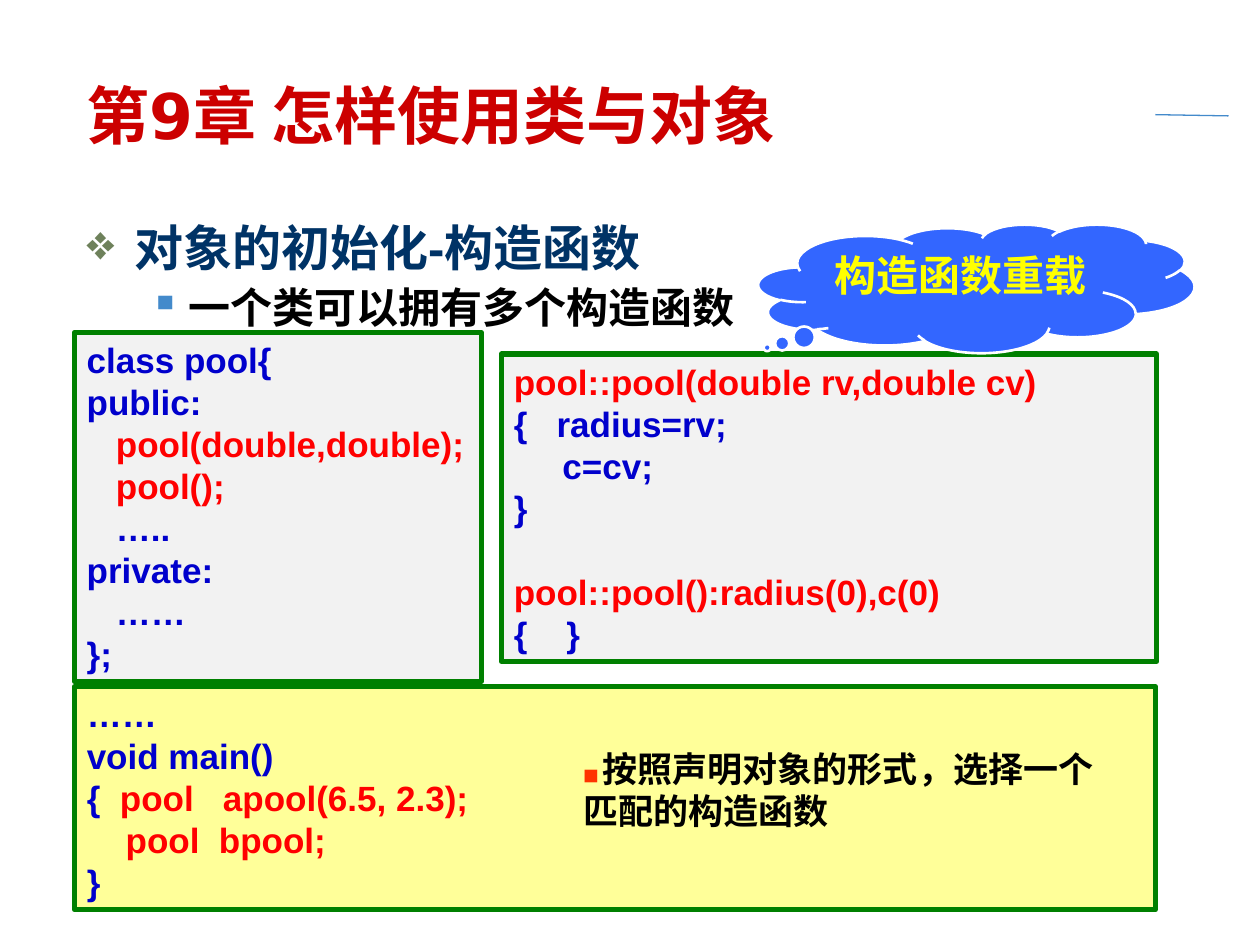
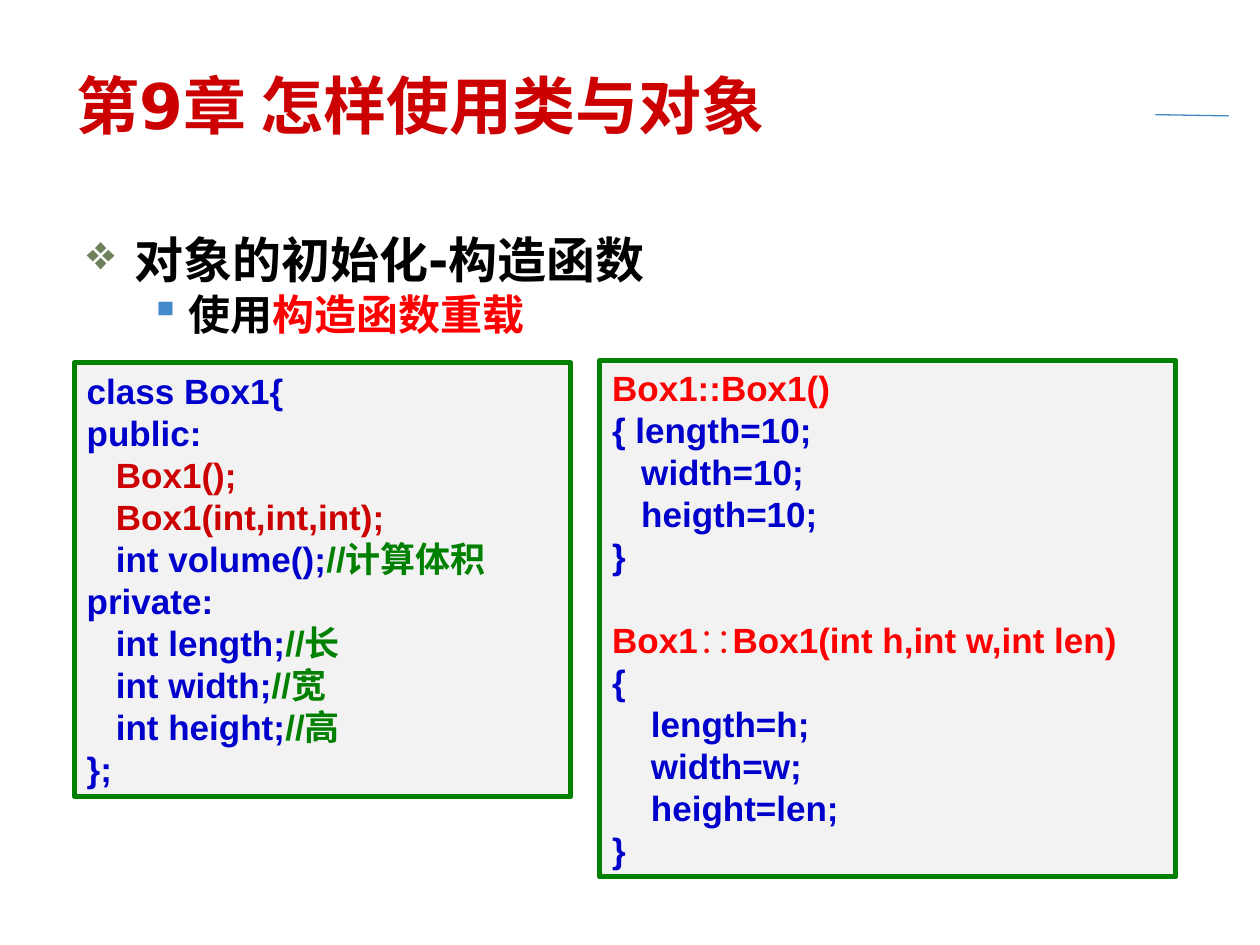
from dataclasses import dataclass

from lxml import etree
from pptx import Presentation
from pptx import util as u
from pptx.dml.color import RGBColor
from pptx.enum import shapes, text
from pptx.oxml.ns import qn


@dataclass(frozen=True)
class Theme:
    sans: str = "Arial"
    head: str = "DejaVu Sans"
    red: str = "CC0000"
    hot: str = "FF0000"
    blue: str = "0000CC"
    navy: str = "003366"
    green: str = "008000"
    black: str = "000000"
    white: str = "FFFFFF"
    yellow: str = "FFFF00"
    orange: str = "FF3300"
    cloud: str = "3366FF"
    grey: str = "F2F2F2"
    cream: str = "FFFF99"
    rule: str = "438ACB"
    moss: str = "6E815B"
    title_size: float = 36
    topic_size: float = 28
    point_size: float = 24
    code_size: float = 20
    mark_size: float = 9
    code_gap: float = 24


T = Theme()


class Deck:
    def __init__(self, theme):
        self.theme = theme
        self.prs = Presentation()
        self.prs.slide_width = u.Inches(10)
        self.prs.slide_height = u.Inches(7.5)
        self.slide = None

    def place(self, left, top, width, height):
        return [u.Inches(n) for n in (left, top, width, height)]

    def run(self, para, words, color, size, font=None):
        run = para.add_run()
        run.text = words
        run.font.name = font or self.theme.sans
        run.font.size = u.Pt(size)
        run.font.bold = True
        run.font.color.rgb = RGBColor.from_string(color)

    def frame(self, shape, anchor=text.MSO_ANCHOR.TOP):
        """Set up the text frame of a shape and return it."""
        frame = shape.text_frame
        frame.word_wrap = True
        frame.auto_size = text.MSO_AUTO_SIZE.NONE
        frame.vertical_anchor = anchor
        frame.margin_left = frame.margin_right = u.Inches(0.1)
        frame.margin_top = frame.margin_bottom = u.Inches(0.05)
        return frame

    def start(self, title, left, top):
        """Open a new slide with its corner rule and title."""
        self.slide = self.prs.slides.add_slide(self.prs.slide_layouts[5])
        self.rule(9.17, 0.91, 9.75, 0.92)
        head = self.slide.shapes.title
        head.left, head.top, head.width, head.height = self.place(left, top, 8.49, 0.62)
        para = self.frame(head, text.MSO_ANCHOR.MIDDLE).paragraphs[0]
        para.alignment = text.PP_ALIGN.LEFT
        self.run(para, title, self.theme.red, self.theme.title_size, self.theme.head)

    def rule(self, *ends):
        line = self.slide.shapes.add_connector(
            shapes.MSO_CONNECTOR.STRAIGHT, *self.place(*ends))
        line.line.color.rgb = RGBColor.from_string(self.theme.rule)
        line.line.width = u.Pt(0.75)
        etree.SubElement(line._element.spPr, qn("a:effectLst"))

    def bullet(self, para, mark, color, margin, hang):
        props = para._p.get_or_add_pPr()
        props.set("marL", str(u.Inches(margin)))
        props.set("indent", str(-u.Inches(hang)))
        tint = etree.SubElement(props, qn("a:buClr"))
        etree.SubElement(tint, qn("a:srgbClr"), val=color)
        etree.SubElement(props, qn("a:buChar"), char=mark)

    def points(self, box, topic, runs, color, font, spacing):
        """Write one topic line with one point, made of runs, under it."""
        frame = self.frame(self.slide.shapes.add_textbox(*self.place(*box)))
        first, second = frame.paragraphs[0], frame.add_paragraph()
        second.level = 1
        first.line_spacing = second.line_spacing = spacing
        second.space_before = u.Pt(6)
        self.bullet(first, "❖", self.theme.moss, 0.38, 0.38)
        self.bullet(second, "▪", self.theme.rule, 0.81, 0.31)
        self.run(first, topic, color, self.theme.topic_size, font)
        for words, tint in runs:
            self.run(second, words, tint, self.theme.point_size)

    def shape(self, kind, box, fill, edge, width):
        shape = self.slide.shapes.add_shape(kind, *self.place(*box))
        shape.shadow.inherit = False
        shape.fill.solid()
        shape.fill.fore_color.rgb = RGBColor.from_string(fill)
        shape.line.color.rgb = RGBColor.from_string(edge)
        shape.line.width = u.Pt(width)
        return shape

    def code(self, box, lines, fill=None):
        """Draw a listing; a line is a list of runs, and None leaves a gap."""
        shape = self.shape(shapes.MSO_SHAPE.RECTANGLE, box,
                           fill or self.theme.grey, self.theme.green, 3)
        frame = self.frame(shape)
        para, gap = frame.paragraphs[0], False
        for line in lines:
            if line is None:
                gap = True
                continue
            if para.runs:
                para = frame.add_paragraph()
            para.alignment = text.PP_ALIGN.LEFT
            if gap:
                para.space_before = u.Pt(self.theme.code_gap)
                gap = False
            for words, color in line:
                self.run(para, words, color, self.theme.code_size)

    def cloud(self, box, words):
        shape = self.shape(shapes.MSO_SHAPE.CLOUD_CALLOUT, box,
                           self.theme.cloud, self.theme.white, 1.5)
        shape.adjustments[0], shape.adjustments[1] = -0.48, 0.46
        para = self.frame(shape).paragraphs[0]
        para.alignment = text.PP_ALIGN.CENTER
        self.run(para, words, self.theme.yellow, self.theme.point_size)

    def note(self, box, words):
        frame = self.frame(self.slide.shapes.add_textbox(*self.place(*box)))
        para = frame.paragraphs[0]
        self.run(para, "■ ", self.theme.orange, self.theme.mark_size)
        self.run(para, words, self.theme.black, self.theme.code_size)


def plain(*lines):
    return [[(line, T.blue)] for line in lines]


def hot(*lines):
    return [[(line, T.hot)] for line in lines]


def noted(line, remark):
    return [(line, T.blue), (remark, T.green)]


TITLE = "第9章 怎样使用类与对象"
TOPIC = "对象的初始化-构造函数"


def pool(deck):
    deck.start(TITLE, 0.59, 0.6)
    deck.points((0.59, 1.73, 9.14, 1.02), TOPIC,
                [("一个类可以拥有多个构造函数", T.black)], T.navy, T.sans, 0.9)
    deck.code((0.59, 2.64, 3.23, 2.77), [
        *plain("class pool{", "public:"),
        *hot("   pool(double,double);", "   pool();"),
        *plain("   …..", "private:", "   ……", "};"),
    ])
    deck.code((3.98, 2.81, 5.2, 2.44), [
        *hot("pool::pool(double rv,double cv)"),
        *plain("{   radius=rv;", "     c=cv;", "}"),
        None,
        *hot("pool::pool():radius(0),c(0)"),
        *plain("{    }"),
    ])
    deck.code((0.59, 5.45, 8.58, 1.77), [
        *plain("……", "void main()"),
        [("{  ", T.blue), ("pool   apool(6.5, 2.3);", T.hot)],
        *hot("    pool  bpool;"),
        *plain("}"),
    ], T.cream)
    deck.cloud((6.02, 1.78, 3.46, 1.02), "构造函数重载")
    deck.note((4.53, 5.88, 4.41, 0.77), "按照声明对象的形式，选择一个匹配的构造函数")


def box(deck):
    deck.start(TITLE, 0.51, 0.52)
    deck.points((0.59, 1.86, 9.25, 0.95), TOPIC,
                [("使用", T.black), ("构造函数重载", T.hot)], T.black, T.head, 0.8)
    deck.code((0.59, 2.88, 3.94, 3.44), [
        *plain("class Box1{", "public:"),
        [("   Box1();", T.red)],
        [("   Box1(int,int,int);", T.red)],
        noted("   int volume();", "//计算体积"),
        *plain("private:"),
        noted("   int length;", "//长"),
        noted("   int width;", "//宽"),
        noted("   int height;", "//高"),
        *plain("};"),
    ])
    deck.code((4.76, 2.86, 4.57, 4.1), [
        *hot("Box1::Box1()"),
        *plain("{ length=10;", "   width=10;", "   heigth=10;", "}"),
        None,
        *hot("Box1∷Box1(int h,int w,int len)"),
        *plain("{", "    length=h;", "    width=w;", "    height=len;", "}"),
    ])


def main():
    deck = Deck(T)
    pool(deck)
    box(deck)
    deck.prs.save("out.pptx")


if __name__ == "__main__":
    main()
